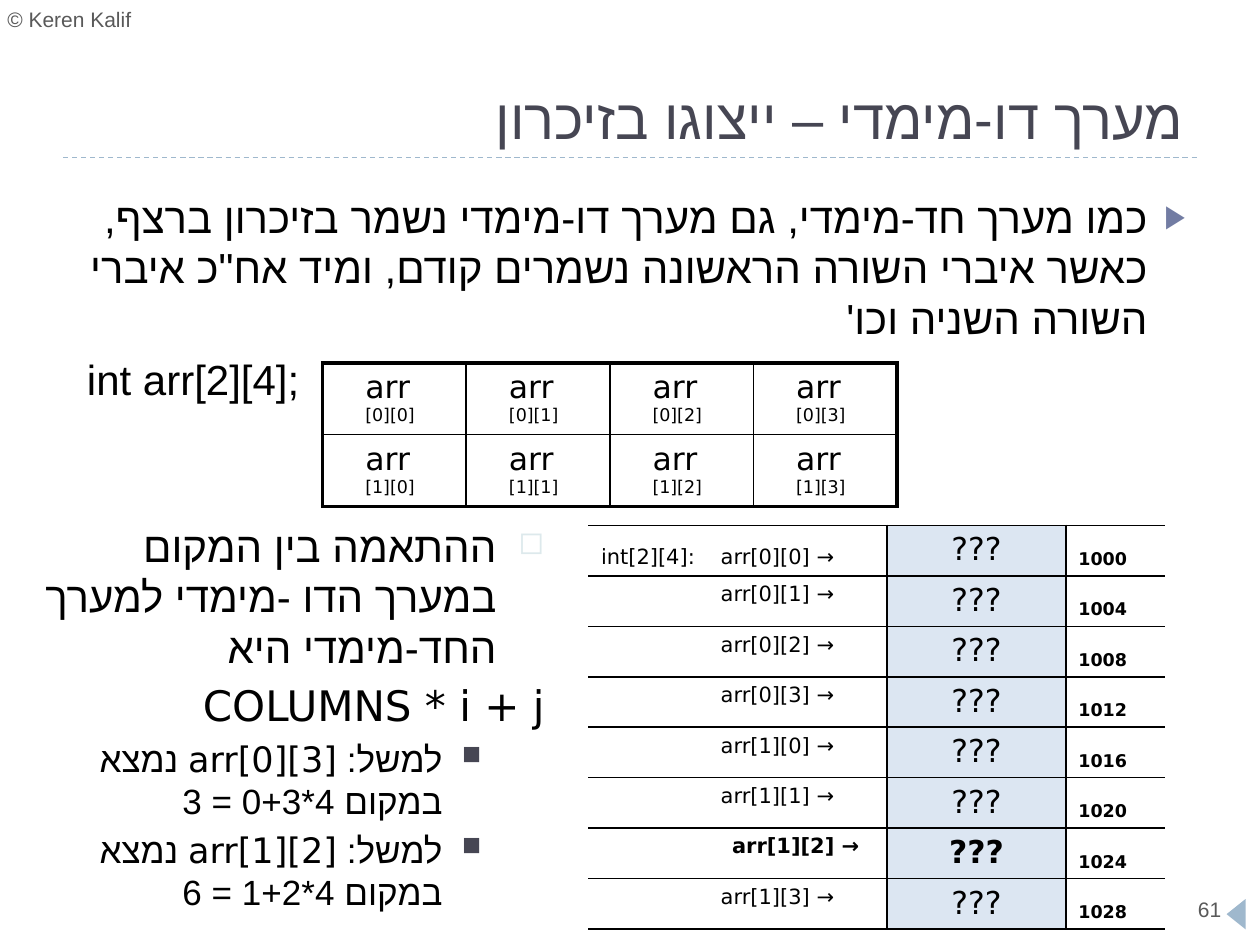
from dataclasses import dataclass

from lxml import etree
from pptx import Presentation
from pptx import util as u
from pptx.dml import color
from pptx.enum import dml, shapes, text
from pptx.oxml import ns


@dataclass(frozen=True)
class Theme:
    sans: str = "Arial"
    code: str = "DejaVu Sans"
    ink: str = "000000"
    heading: str = "464653"
    muted: str = "595959"
    accent: str = "9FB8CD"
    arrow: str = "727CA3"
    pale: str = "DDE9EC"
    memory: str = "DCE6F2"
    title: int = 32
    body: int = 24
    sub: int = 20
    cell: int = 18
    small: int = 12
    tiny: int = 10


THEME = Theme()
RIGHT = text.PP_ALIGN.RIGHT
ROWS, COLUMNS = 2, 4


def rgb(value):
    return color.RGBColor.from_string(value)


def apply(target, **values):
    for name, value in values.items():
        setattr(target, name, value)


def place(shape, box):
    names = ("left", "top", "width", "height")
    apply(shape, **dict(zip(names, map(u.Inches, box))))


def add_element(parent, tag, **attributes):
    return etree.SubElement(parent, ns.qn(tag), attributes)


def add_span(para, words, size, font=THEME.code, ink=THEME.ink, bold=False):
    span = para.add_run()
    span.text = words
    apply(span.font, size=u.Pt(size), name=font, bold=bold)
    span.font.color.rgb = rgb(ink)
    # Hebrew letters take the complex-script font
    add_element(span.font._element, "a:cs", typeface=THEME.sans)


def indent(para, margin, hanging, rtl=False):
    props = para._p.get_or_add_pPr()
    props.set("marL", str(u.Inches(margin)))
    props.set("indent", str(u.Inches(-hanging)))
    props.set("rtl", str(int(rtl)))


def bullet(para, mark=None, ink=None, percent=75):
    props = para._p.get_or_add_pPr()
    if mark is None:
        add_element(props, "a:buNone")
        return
    tint = add_element(props, "a:buClr")
    add_element(tint, "a:srgbClr", val=ink)
    add_element(props, "a:buSzPct", val=str(percent * 1000))
    add_element(props, "a:buChar", char=mark)


def next_para(frame, index):
    return frame.add_paragraph() if index else frame.paragraphs[0]


def add_title(page, box):
    title = page.shapes.title
    place(title, box)
    apply(title.text_frame, vertical_anchor=text.MSO_ANCHOR.BOTTOM,
          auto_size=text.MSO_AUTO_SIZE.NONE)
    para = title.text_frame.paragraphs[0]
    para.alignment = RIGHT
    indent(para, 0, 0, rtl=True)
    add_span(para, "מערך דו-מימדי – ייצוגו בזיכרון", THEME.title, THEME.sans, THEME.heading)


def add_body(page, box):
    body = page.placeholders[1]
    place(body, box)
    frame = body.text_frame
    frame.auto_size = text.MSO_AUTO_SIZE.NONE
    lines = [
        ("כמו מערך חד-מימדי, גם מערך דו-מימדי נשמר בזיכרון ברצף, כאשר איברי השורה הראשונה "
         "נשמרים קודם, ומיד אח\"כ איברי השורה השניה וכו'", True),
        (f"int arr[{ROWS}][{COLUMNS}];", False),
    ]
    for index, (words, hebrew) in enumerate(lines):
        para = next_para(frame, index)
        indent(para, 0.3, 0.3, rtl=hebrew)
        apply(para, alignment=RIGHT if hebrew else text.PP_ALIGN.LEFT,
              space_before=u.Pt(6 if index else 0))
        bullet(para, *(("▶", THEME.arrow, 76) if hebrew else ()))
        add_span(para, words, THEME.body, THEME.sans)


def add_formula(page, box):
    shape = page.shapes.add_textbox(*map(u.Inches, box))
    frame = shape.text_frame
    frame.word_wrap = True
    square = ("■", THEME.heading)
    lines = [
        ("ההתאמה בין המקום במערך הדו -מימדי למערך החד-מימדי היא", 0, ("◻", THEME.pale)),
        ("COLUMNS * i + j", 0, ()),
        ("למשל: arr[0][3] נמצא במקום 4*0+3 = 3", 1, square),
        ("למשל: arr[1][2] נמצא במקום 4*1+2 = 6", 1, square),
    ]
    for index, (words, level, mark) in enumerate(lines):
        para = next_para(frame, index)
        size = THEME.sub if level else THEME.body
        indent(para, *((0.81, 0.31) if level else (0.38, 0.38)), rtl=True)
        apply(para, alignment=RIGHT, level=level,
              space_before=u.Pt(size * 0.2 if index else 0))
        bullet(para, *mark)
        add_span(para, words, size)


def add_grid(page, box, rows, widths):
    left, top, width, height = map(u.Inches, box)
    table = page.shapes.add_table(rows, len(widths), left, top, width, height).table
    apply(table, first_row=False, horz_banding=False)
    for column, size in zip(table.columns, widths):
        column.width = u.Inches(size)
    for row in table.rows:
        row.height = height // rows
    return table


def style_cell(cell, borders, fill=None):
    props = cell._tc.get_or_add_tcPr()
    for side in "LRTB":
        points = borders.get(side, 0)
        line = add_element(props, f"a:ln{side}", w=str(u.Pt(points)))
        if points:
            paint = add_element(line, "a:solidFill")
            add_element(paint, "a:srgbClr", val=THEME.ink)
        else:
            add_element(line, "a:noFill")
    if fill:
        cell.fill.solid()
        cell.fill.fore_color.rgb = rgb(fill)
    else:
        cell.fill.background()


def add_array_table(page, box):
    table = add_grid(page, box, ROWS, [box[2] / COLUMNS] * COLUMNS)
    for i in range(ROWS):
        for j in range(COLUMNS):
            cell = table.cell(i, j)
            outer = {"L": j == 0, "R": j == COLUMNS - 1, "T": i == 0, "B": i == ROWS - 1}
            style_cell(cell, {side: 2.25 if edge else 1 for side, edge in outer.items()})
            apply(cell, margin_left=u.Inches(0.34), margin_right=u.Inches(0.34))
            para = cell.text_frame.paragraphs[0]
            add_span(para, "arr ", THEME.cell)
            add_span(para, f"[{i}][{j}]", THEME.tiny)


def add_memory_table(page, box):
    count = ROWS * COLUMNS
    table = add_grid(page, box, count, [2.37, 1.42, 0.79])
    for index in range(count):
        i, j = divmod(index, COLUMNS)
        bold = (i, j) == (1, 2)
        name, value, address = (table.cell(index, column) for column in range(3))
        style_cell(name, {"T": 1, "B": 1, "R": 1})
        style_cell(value, dict.fromkeys("LRTB", 1), THEME.memory)
        style_cell(address, {"T": 1, "B": 1, "L": 1})
        address.vertical_anchor = text.MSO_ANCHOR.BOTTOM
        if index == 0:
            name.vertical_anchor = text.MSO_ANCHOR.BOTTOM
        # The tab stop lines up the element names
        para = name.text_frame.paragraphs[0]
        stops = add_element(para._p.get_or_add_pPr(), "a:tabLst")
        add_element(stops, "a:tab", pos=str(u.Inches(1.04 if bold else 0.95)), algn="l")
        label = "" if index else f"int[{ROWS}][{COLUMNS}]:"
        add_span(para, f"{label}\tarr[{i}][{j}] →", THEME.small, bold=bold)
        para = value.text_frame.paragraphs[0]
        para.alignment = text.PP_ALIGN.CENTER
        add_span(para, "???", THEME.cell, bold=bold)
        add_span(address.text_frame.paragraphs[0], str(1000 + 4 * index), THEME.tiny, bold=True)


def add_furniture(page, box):
    left, top, width, height = box
    # Rule under the title
    rule = page.shapes.add_connector(
        shapes.MSO_CONNECTOR.STRAIGHT, *map(u.Inches, (left + 0.5, 1.25, left + width - 0.5, 1.25)))
    apply(rule.line, width=u.Pt(0.75), dash_style=dml.MSO_LINE.DASH)
    rule.line.color.rgb = rgb(THEME.accent)
    add_element(rule._element.spPr, "a:effectLst")
    # Corner triangle
    corner = page.shapes.add_shape(
        shapes.MSO_SHAPE.ISOSCELES_TRIANGLE, *map(u.Inches, (9.69, 7.18, 0.24, 0.15)))
    corner.rotation = 270
    corner.shadow.inherit = False
    corner.fill.solid()
    corner.fill.fore_color.rgb = rgb(THEME.accent)
    corner.line.fill.background()
    # Copyright line and page number
    for words, spot in (("© Keren Kalif", (left - 0.04, top, 1.5, 0.3)),
                        ("61", (9.41, 7.07, 0.47, 0.3))):
        frame = page.shapes.add_textbox(*map(u.Inches, spot)).text_frame
        frame.word_wrap = True
        add_span(frame.paragraphs[0], words, THEME.small, THEME.sans, THEME.muted)


def main():
    deck = Presentation()
    apply(deck, slide_width=u.Inches(10), slide_height=u.Inches(7.5))
    page = deck.slides.add_slide(deck.slide_layouts[1])
    add_furniture(page, (0, 0, 10, 7.5))
    add_title(page, (0.35, 0.17, 9.15, 1.08))
    add_body(page, (0.59, 1.47, 8.92, 4.95))
    add_memory_table(page, (4.67, 4.17, 4.58, 3.12))
    add_formula(page, (0.17, 4.08, 4.25, 2.92))
    add_array_table(page, (2.56, 2.88, 4.56, 1.14))
    deck.save("out.pptx")


if __name__ == "__main__":
    main()
